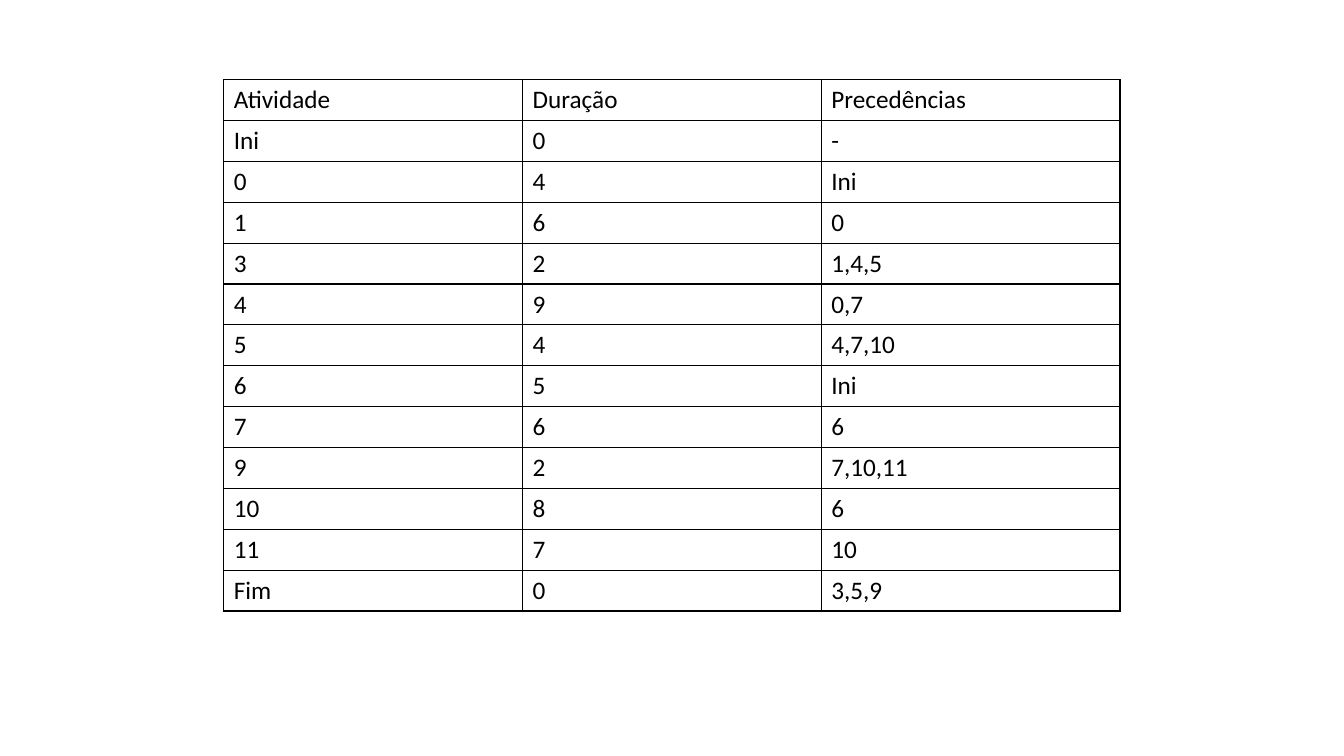
import pptx
import pptx.dml.color
import pptx.oxml
import pptx.oxml.ns
import pptx.util
from pptx.util import Inches

COLORS = {"ink": "000000", "paper": "FFFFFF"}

ACTIVITIES = [
    ("Atividade", "Duração", "Precedências"),
    ("Ini", "0", "-"),
    ("0", "4", "Ini"),
    ("1", "6", "0"),
    ("3", "2", "1,4,5"),
    ("4", "9", "0,7"),
    ("5", "4", "4,7,10"),
    ("6", "5", "Ini"),
    ("7", "6", "6"),
    ("9", "2", "7,10,11"),
    ("10", "8", "6"),
    ("11", "7", "10"),
    ("Fim", "0", "3,5,9"),
]


def rgb(name):
    return pptx.dml.color.RGBColor.from_string(COLORS[name])


def write_text(frame, text, *, font="Calibri", size=18, color="ink"):
    span = frame.paragraphs[0].add_run()
    span.text = text
    span.font.name = font
    span.font.size = pptx.util.Pt(size)
    span.font.color.rgb = rgb(color)


class SlideBuilder:
    """Holds the table style and the current slide."""

    def __init__(self, page, border="ink", border_width=1, fill="paper"):
        self.page = page
        self.border = border
        self.border_width = pptx.util.Pt(border_width)
        self.fill = fill

    def add_borders(self, cell):
        properties = cell._tc.get_or_add_tcPr()
        for position, side in enumerate(("lnL", "lnR", "lnT", "lnB")):
            line = pptx.oxml.parse_xml(
                f'<a:{side} {pptx.oxml.ns.nsdecls("a")} w="{self.border_width}">'
                f'<a:solidFill><a:srgbClr val="{COLORS[self.border]}"/></a:solidFill>'
                f'</a:{side}>'
            )
            properties.insert(position, line)

    def add_table(self, rows, left, top, width, height):
        table = self.page.shapes.add_table(
            len(rows), len(rows[0]), left, top, width, height
        ).table
        table.first_row = False
        table.horz_banding = False
        for row, values in zip(table.rows, rows):
            for cell, value in zip(row.cells, values):
                write_text(cell.text_frame, value)
                cell.fill.solid()
                cell.fill.fore_color.rgb = rgb(self.fill)
                self.add_borders(cell)
        return table


# Deck and blank page
deck = pptx.Presentation()
deck.slide_width = Inches(13.33)
deck.slide_height = Inches(7.5)
builder = SlideBuilder(deck.slides.add_slide(deck.slide_layouts[6]))

# Activity table
builder.add_table(ACTIVITIES, Inches(2.22), Inches(0.79), Inches(8.89), Inches(5.27))

deck.save("out.pptx")
